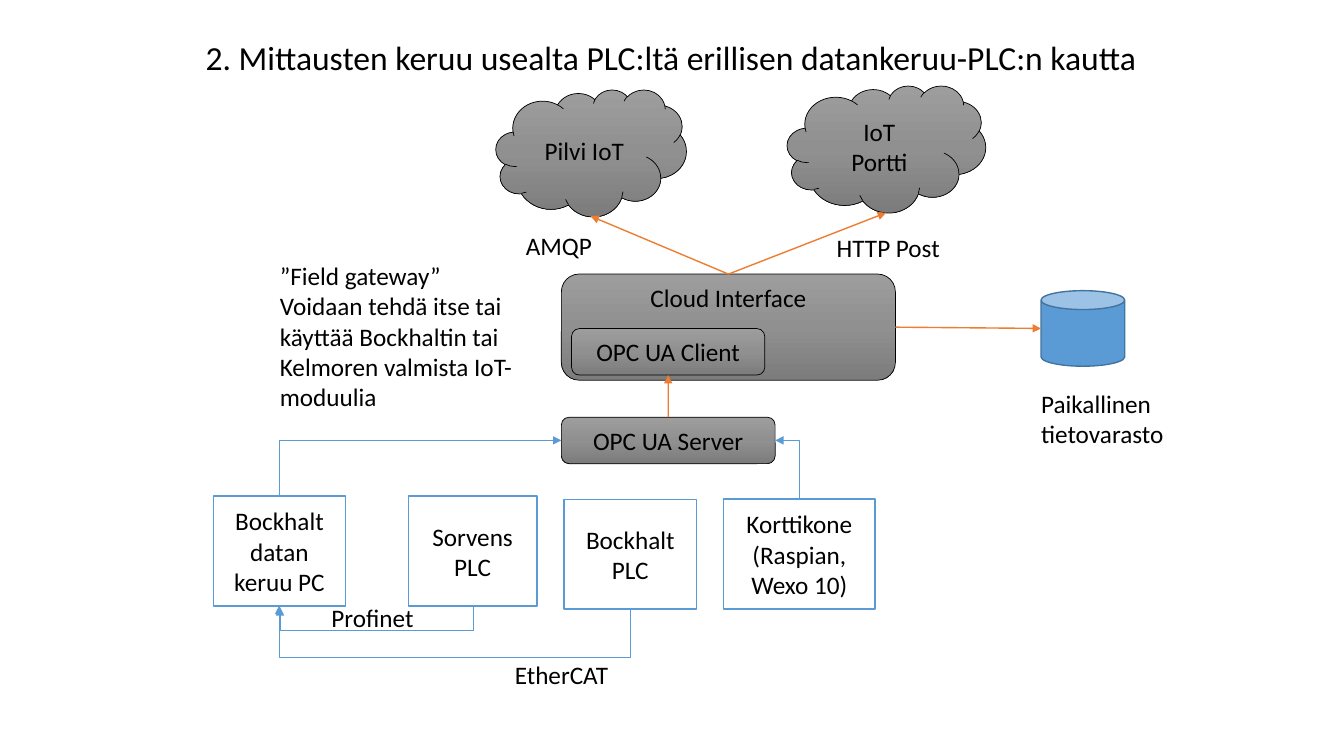
"""Draw a data flow from PLCs through a gateway to cloud services."""
from copy import deepcopy
from lxml.etree import SubElement
from pptx import Presentation
from pptx.dml.color import RGBColor
from pptx.enum.shapes import MSO_CONNECTOR as LINK, MSO_SHAPE as FORM
from pptx.enum.text import MSO_ANCHOR as ANCHOR, PP_ALIGN as ALIGN
from pptx.oxml.ns import qn
from pptx.util import Pt

THEME = {
    "font": "Calibri", "body": 18, "title": 24,
    "ink": RGBColor.from_string("000000"),
    "paper": RGBColor.from_string("FFFFFF"),
    "blue": RGBColor.from_string("5B9BD5"),
    "navy": RGBColor.from_string("43739E"),
    "orange": RGBColor.from_string("ED7D31"),
    "greys": [RGBColor.from_string(c) for c in ("9D9D9D", "909090", "7C7C7C")],
}


def write(shape, text, size, align, anchor):
    """Set the text of a shape and format it."""
    frame = shape.text_frame
    frame.text = text
    frame.vertical_anchor = anchor
    for para in frame.paragraphs:
        para.alignment = align
        for run in para.runs:
            run.font.name = THEME["font"]
            run.font.size = Pt(size)
            run.font.color.rgb = THEME["ink"]


def arrow(link, color, width):
    """Colour a connector, drop its shadow and give it an arrowhead."""
    link.line.color.rgb = THEME[color]
    link.line.width = Pt(width)
    SubElement(link.line._get_or_add_ln(), qn("a:tailEnd"), type="triangle")
    SubElement(link._element.spPr, qn("a:effectLst"))


deck = Presentation()
deck.slide_width, deck.slide_height = Pt(960), Pt(540)
slide = deck.slides.add_slide(deck.slide_layouts[6])
shapes = slide.shapes

nodes = {}
for name, form, x, y, wide, high, text in [
    ("hub", FORM.ROUNDED_RECTANGLE, 401, 195.8, 238.6, 75.8, "Cloud Interface"),
    ("line", FORM.RECTANGLE, 291.6, 354.4, 92, 78.5, "Sorvens\vPLC"),
    ("drive", FORM.RECTANGLE, 403, 356.6, 94.5, 78.5, "Bockhalt PLC"),
    ("board", FORM.RECTANGLE, 517, 356.4, 108, 78.5, "Korttikone\n(Raspian, Wexo 10)"),
    ("left", FORM.CLOUD, 354.2, 64, 136.1, 90.7, "Pilvi IoT"),
    ("right", FORM.CLOUD, 562.3, 61.2, 141.8, 90.7, "IoT\vPortti"),
    ("server", FORM.ROUNDED_RECTANGLE, 401, 298, 152.7, 33.2, "OPC UA Server"),
    ("client", FORM.ROUNDED_RECTANGLE, 408.3, 234.7, 138, 33.2, "OPC UA Client"),
    ("store", FORM.CAN, 743.6, 207.6, 59.8, 54, ""),
    ("logger", FORM.RECTANGLE, 152.4, 354.4, 94.5, 78.5, "Bockhalt datan\nkeruu PC"),
]:
    node = nodes[name] = shapes.add_shape(form, Pt(x), Pt(y), Pt(wide), Pt(high))
    node.shadow.inherit = False
    if form in (FORM.RECTANGLE, FORM.CAN):
        plain = form == FORM.RECTANGLE
        node.fill.solid()
        node.fill.fore_color.rgb = THEME["paper" if plain else "blue"]
        node.line.color.rgb = THEME["blue" if plain else "navy"]
        node.line.width = Pt(1)
    else:
        node.fill.gradient()
        node.fill.gradient_angle = 270
        stops = node._element.spPr.find(".//" + qn("a:gsLst"))
        stops.insert(1, deepcopy(stops[0]))
        for i, stop in enumerate(node.fill.gradient_stops):
            stop.position = i / 2
            stop.color.rgb = THEME["greys"][i]
        node.line.color.rgb = THEME["ink"]
        node.line.width = Pt(0.5)
    if text:
        anchor = ANCHOR.TOP if name == "hub" else ANCHOR.MIDDLE
        write(node, text, THEME["body"], ALIGN.CENTER, anchor)
nodes["hub"].text_frame.margin_top = Pt(2.2)

for start, side, x1, y1, x2, y2, end in [
    ("server", 0, 477.3, 298, 477.3, 267.9, "client"),
    ("hub", 0, 520.3, 195.8, 421.9, 154.4, None),
    ("hub", 0, 520.3, 195.8, 632.9, 152, None),
    ("hub", 3, 639.6, 233.7, 743.6, 234.6, None),
]:
    link = shapes.add_connector(LINK.STRAIGHT, Pt(x1), Pt(y1), Pt(x2), Pt(y2))
    link.begin_connect(nodes[start], side)
    if end:
        link.end_connect(nodes[end], 2)
    arrow(link, "orange", 1)

for x1, y1, x2, y2, turn, flips, bend in [
    (338.4, 432.7, 200, 433.7, 90, [], 18),
    (450, 434.9, 199.4, 432.7, 90, ["flipH"], -15.81),
    (199.4, 354.2, 401, 314.6, 90, ["flipH", "flipV"], None),
    (571, 356.4, 553.7, 314.6, 270, ["flipV"], None),
]:
    wide, high = abs(y2 - y1), abs(x2 - x1)
    x, y = (x1 + x2 - wide) / 2, (y1 + y2 - high) / 2
    link = shapes.add_connector(LINK.ELBOW, Pt(x), Pt(y), Pt(x + wide), Pt(y + high))
    frame = link._element.spPr.find(qn("a:xfrm"))
    frame.set("rot", str(turn * 60000))
    for flip in flips:
        frame.set(flip, "1")
    geom = link._element.spPr.find(qn("a:prstGeom"))
    if bend is None:
        geom.set("prst", "bentConnector2")
    else:
        rule = f"val {round(bend * 100000)}"
        SubElement(geom.find(qn("a:avLst")), qn("a:gd"), name="adj1", fmla=rule)
    arrow(link, "blue", 0.5)

for x, y, wide, high, text in [
    (192.8, 182.4, 186.5, 116.6,
     "”Field gateway”\nVoidaan tehdä itse tai\vkäyttää Bockhaltin tai\v"
     "Kelmoren valmista IoT-\vmoduulia"),
    (368.6, 161, 61.9, 28.8, "AMQP"),
    (590.6, 162.4, 88.6, 28.8, "HTTP Post"),
    (360.7, 467.3, 82.1, 28.8, "EtherCAT"),
    (229.7, 427, 74.2, 28.8, "Profinet"),
    (736.6, 273.8, 103, 51.1, "Paikallinen\vtietovarasto"),
]:
    label = shapes.add_textbox(Pt(x), Pt(y), Pt(wide), Pt(high))
    label.text_frame.word_wrap = False
    write(label, text, THEME["body"], ALIGN.LEFT, ANCHOR.TOP)

title = shapes.add_textbox(Pt(139.8), Pt(21.6), Pt(680.4), Pt(42.5))
title.text_frame.word_wrap = True
head = "2. Mittausten keruu usealta PLC:ltä erillisen datankeruu-PLC:n kautta"
write(title, head, THEME["title"], ALIGN.LEFT, ANCHOR.MIDDLE)
title.text_frame.paragraphs[0].line_spacing = 0.9

deck.save("out.pptx")
